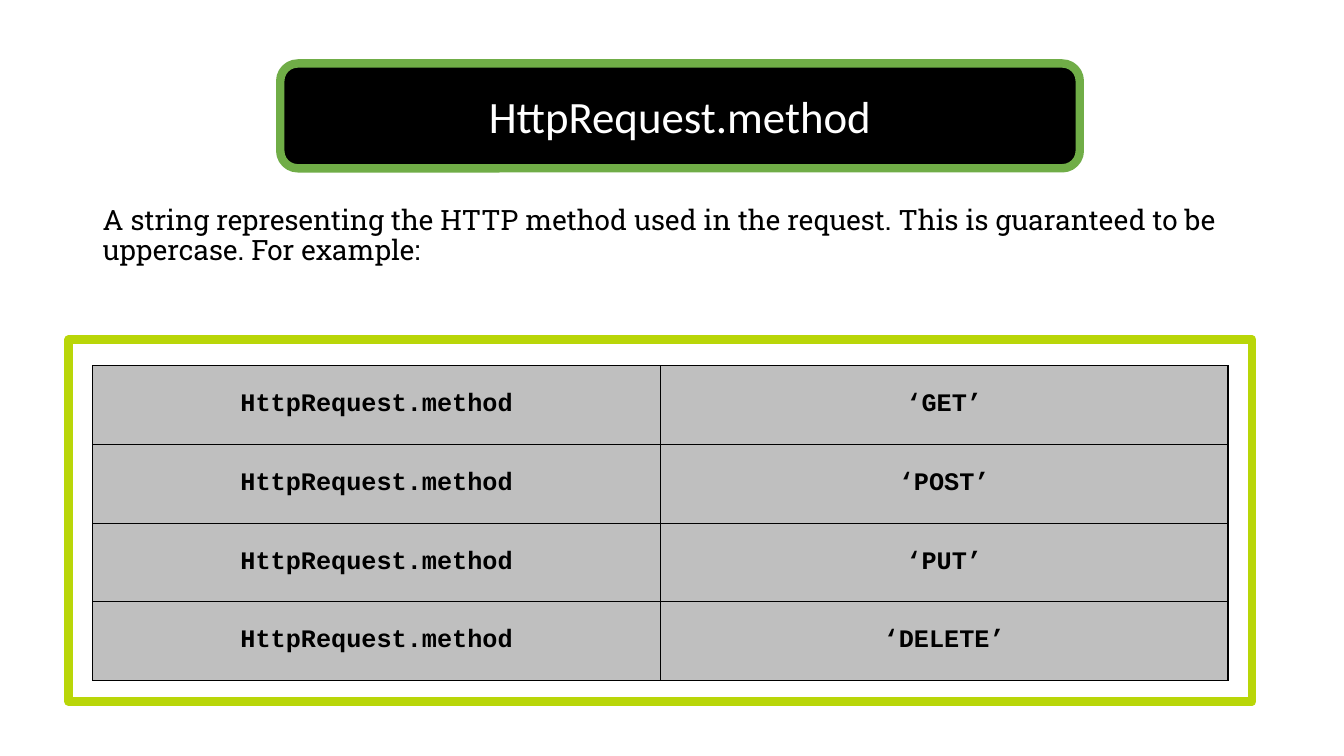
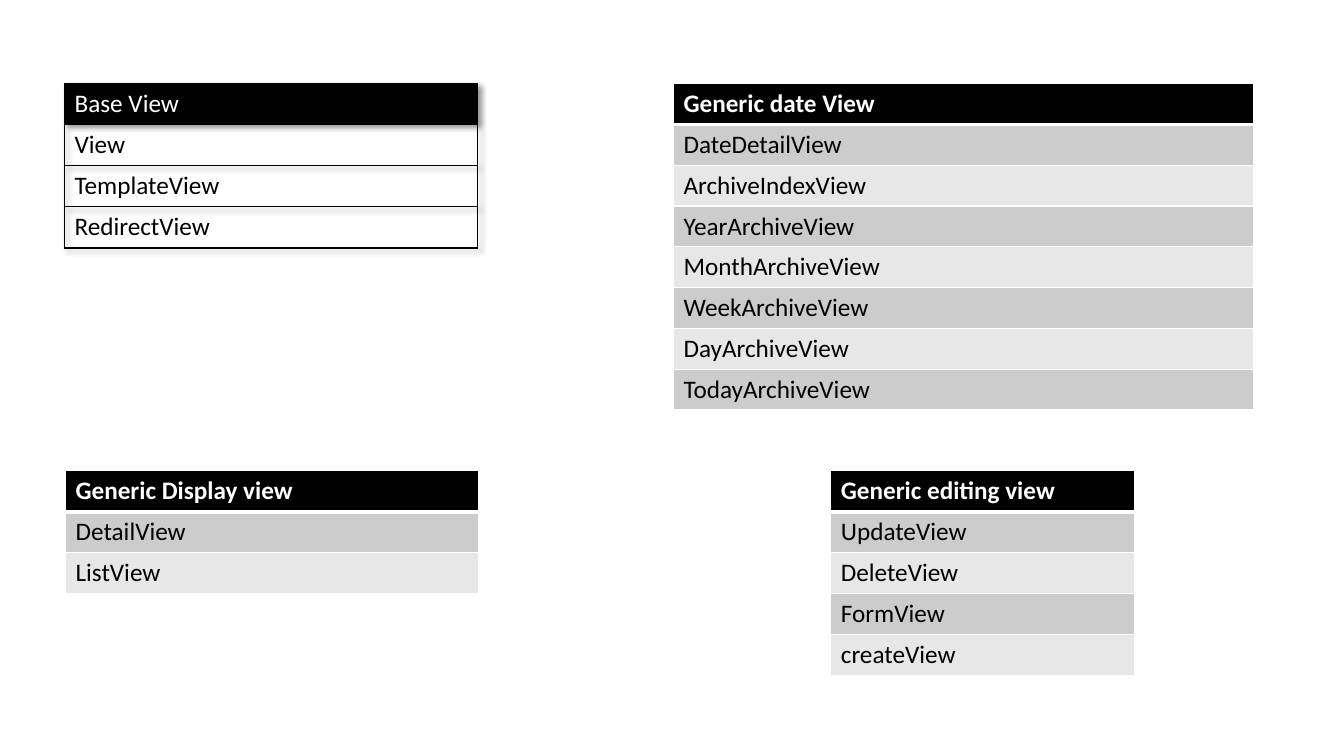
from dataclasses import dataclass

from lxml import etree
from pptx import Presentation
from pptx import util as u
from pptx.dml import color
from pptx.enum import shapes, text
from pptx.oxml import ns

# Shared palette and text styles
BLACK, WHITE, GREY = "000000", "FFFFFF", "BFBFBF"
GREEN, LIME = "70AD47", "B9D608"
BANDS = ("CCCCCC", "E7E7E7")
SIDES = ("lnL", "lnR", "lnT", "lnB")

TITLE = {"name": "Calibri", "size": u.Pt(32), "bold": False}
BODY = {"name": "Roboto Slab", "size": u.Pt(20), "bold": False}
CODE = {"name": "Courier New", "size": u.Pt(18), "bold": True}
HEADING = {"name": "Calibri", "size": u.Pt(18), "bold": True}
ENTRY = {**HEADING, "bold": False}


@dataclass(frozen=True)
class Box:
    left: float
    top: float
    width: float
    height: float

    def lengths(self) -> tuple:
        return tuple(u.Inches(v) for v in (self.left, self.top, self.width, self.height))


@dataclass(frozen=True)
class ViewList:
    heading: str
    views: tuple
    box: Box
    outlined: bool = False


METHODS = ("GET", "POST", "PUT", "DELETE")
VIEW_LISTS = (
    ViewList("Base View", ("View", "TemplateView", "RedirectView"),
             Box(0.64, 0.83, 4.1, 1.63), outlined=True),
    ViewList("Generic Display view", ("DetailView", "ListView"),
             Box(0.65, 4.67, 4.1, 1.22)),
    ViewList("Generic editing view",
             ("UpdateView", "DeleteView", "FormView", "createView"),
             Box(8.24, 4.67, 3.01, 2.03)),
    ViewList("Generic date View",
             ("DateDetailView", "ArchiveIndexView", "YearArchiveView", "MonthArchiveView",
              "WeekArchiveView", "DayArchiveView", "TodayArchiveView"),
             Box(6.68, 0.83, 5.75, 3.24)),
)


def rgb(value: str) -> color.RGBColor:
    return color.RGBColor.from_string(value)


def write(frame, content: str, style: dict, ink: str, align=text.PP_ALIGN.LEFT):
    """Fill a text frame with one styled paragraph and return it."""
    paragraph = frame.paragraphs[0]
    paragraph.alignment = align
    run = paragraph.add_run()
    run.text = content
    for name, value in style.items():
        setattr(run.font, name, value)
    run.font.color.rgb = rgb(ink)
    return paragraph


def add_frame(slide, kind, box: Box, line: str, fill: str | None = None):
    """Draw a preset shape with a thick outline."""
    shape = slide.shapes.add_shape(kind, *box.lengths())
    shape.shadow.inherit = False
    shape.line.color.rgb = rgb(line)
    shape.line.width = u.Pt(6)
    if fill:
        shape.fill.solid()
        shape.fill.fore_color.rgb = rgb(fill)
    else:
        shape.fill.background()
    return shape


# Tables
def add_grid(slide, box: Box, rows: int, columns: int):
    table = slide.shapes.add_table(rows, columns, *box.lengths()).table
    table.first_row = table.horz_banding = False
    for row in table.rows:
        row.height = u.Inches(box.height / rows)
    return table


def set_cell(cell, fill: str | None, border: str, bottom: float = 1, top: float = 1) -> None:
    """Set the fill and the four borders of a cell."""
    properties = cell._tc.get_or_add_tcPr()
    widths = {"lnB": bottom, "lnT": top}
    for side in SIDES:
        line = etree.SubElement(properties, ns.qn(f"a:{side}"),
                                w=str(u.Pt(widths.get(side, 1))))
        solid = etree.SubElement(line, ns.qn("a:solidFill"))
        etree.SubElement(solid, ns.qn("a:srgbClr"), val=border)
    if fill:
        cell.fill.solid()
        cell.fill.fore_color.rgb = rgb(fill)
    else:
        cell.fill.background()


def add_table_shadow(table) -> None:
    effects = etree.Element(ns.qn("a:effectLst"))
    shadow = etree.SubElement(effects, ns.qn("a:outerShdw"), blurRad="50800",
                              dist="38100", dir="2700000", algn="tl", rotWithShape="0")
    tint = etree.SubElement(shadow, ns.qn("a:srgbClr"), val=BLACK)
    etree.SubElement(tint, ns.qn("a:alpha"), val="40000")
    table._tbl.tblPr.insert(0, effects)


def add_view_list(slide, item: ViewList) -> None:
    """Draw a heading row with its views below, outlined or banded."""
    table = add_grid(slide, item.box, len(item.views) + 1, 1)
    border = BLACK if item.outlined else WHITE
    rule = 1 if item.outlined else 3
    heading = table.cell(0, 0)
    set_cell(heading, BLACK, border, bottom=rule)
    write(heading.text_frame, item.heading, ENTRY if item.outlined else HEADING, WHITE)
    for index, view in enumerate(item.views):
        cell = table.cell(index + 1, 0)
        fill = None if item.outlined else BANDS[index % 2]
        set_cell(cell, fill, border, top=1 if index else rule)
        write(cell.text_frame, view, ENTRY, BLACK)
    if item.outlined:
        add_table_shadow(table)


# Slides
def build_method_slide(slide) -> None:
    body = slide.shapes.add_textbox(*Box(0.92, 2, 11.5, 1.2).lengths()).text_frame
    body.word_wrap = True
    paragraph = write(body, "A string representing the HTTP method used in the request. "
                      "This is guaranteed to be uppercase. For example:", BODY, BLACK)
    paragraph.line_spacing = 0.9
    paragraph.space_before = u.Pt(10)

    table = add_grid(slide, Box(0.92, 3.63, 11.26, 3.12), len(METHODS), 2)
    for row, method in enumerate(METHODS):
        for column, content in enumerate(("HttpRequest.method", f"‘{method}’")):
            cell = table.cell(row, column)
            set_cell(cell, GREY, BLACK)
            cell.vertical_anchor = text.MSO_ANCHOR.MIDDLE
            write(cell.text_frame, content, CODE, BLACK, text.PP_ALIGN.CENTER)

    title = add_frame(slide, shapes.MSO_SHAPE.ROUNDED_RECTANGLE,
                      Box(2.78, 0.63, 7.93, 1.04), GREEN, BLACK)
    title.text_frame.vertical_anchor = text.MSO_ANCHOR.MIDDLE
    write(title.text_frame, "HttpRequest.method", TITLE, WHITE, text.PP_ALIGN.CENTER)
    add_frame(slide, shapes.MSO_SHAPE.RECTANGLE, Box(0.68, 3.37, 11.74, 3.59), LIME)


def build_views_slide(slide) -> None:
    for item in VIEW_LISTS:
        add_view_list(slide, item)


def main() -> None:
    presentation = Presentation()
    presentation.slide_width = u.Inches(13.33)
    presentation.slide_height = u.Inches(7.5)
    for build in (build_method_slide, build_views_slide):
        build(presentation.slides.add_slide(presentation.slide_layouts[6]))
    presentation.save("out.pptx")


if __name__ == "__main__":
    main()
